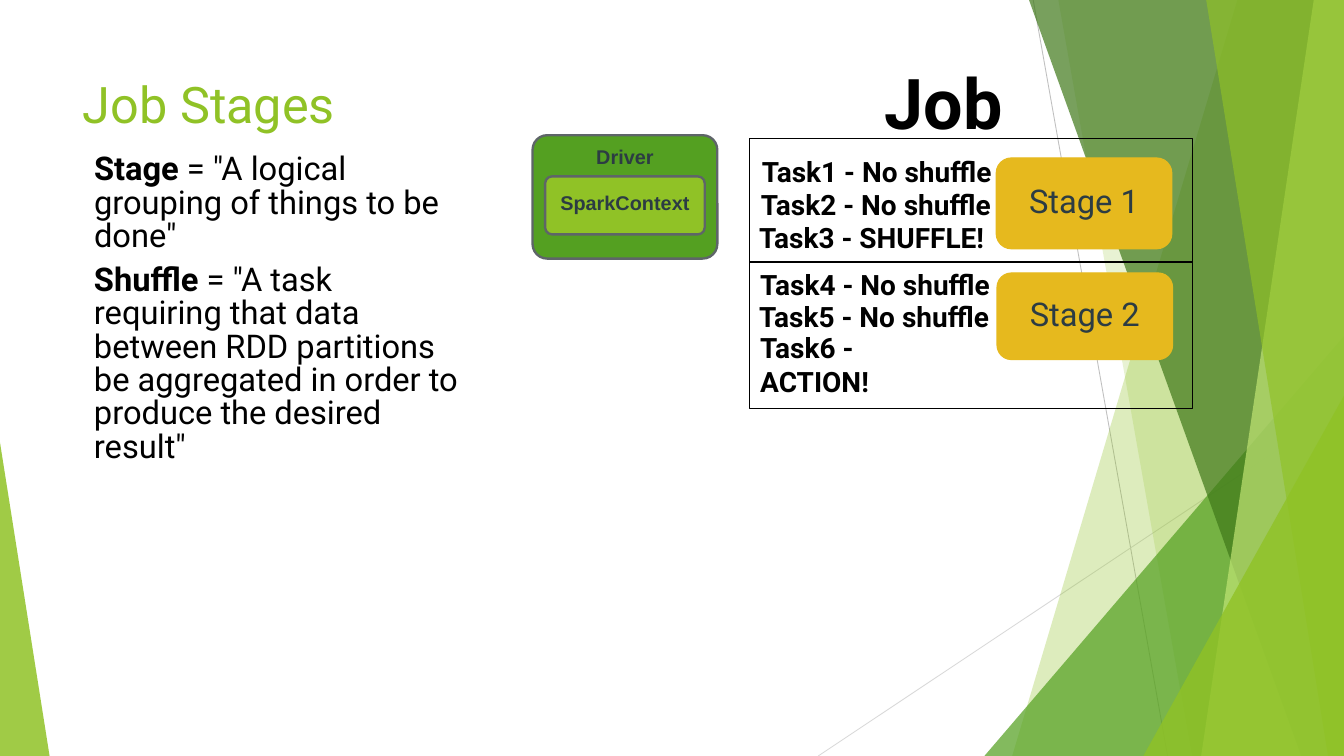
from lxml import etree
from pptx import Presentation
from pptx.dml import color
from pptx.enum import shapes, text
from pptx.oxml import ns
from pptx.util import Pt

WIDTH, HEIGHT = 1152, 648
LIME, GREEN, FOREST, PALE = "90C226", "54A021", "3F7819", "C0E474"
GOLD, SLATE, GREY, BLACK = "E6B91E", "2C3C43", "5E6568", "000000"
RECT = shapes.MSO_SHAPE.RECTANGLE
ROUNDED = shapes.MSO_SHAPE.ROUNDED_RECTANGLE
TRIANGLE = shapes.MSO_SHAPE.ISOSCELES_TRIANGLE
TOP, MIDDLE = text.MSO_ANCHOR.TOP, text.MSO_ANCHOR.MIDDLE
LEFT, CENTER = text.PP_ALIGN.LEFT, text.PP_ALIGN.CENTER

RAYS = [
    ((885.6, 0), (1000.8, HEIGHT), "BFBFBF"),
    ((WIDTH, 347.8), (701.3, HEIGHT), "D9D9D9"),
]
FACETS = [
    ("band", 1060.6, 867.6, LIME, 30),
    ("band", 907.2, 1021.7, LIME, 20),
    ("triangle", (843.8, 288, 308.2, 360), 1, GREEN, 72),
    ("band", 882, 1115.3, FOREST, 70),
    ("band", 1126.1, 1029.6, PALE, 70),
    ("band", 1033.9, 1138.3, LIME, 65),
    ("triangle", (980, 339.1, 172, 308.9), 1, LIME, 80),
    ("triangle", (0, 379.4, 42.5, 268.6), 0, LIME, 85),
]
TITLE = ("Job Stages", (64, 57.6, 812, 124.6))
DEFINITIONS = [
    ("Stage", ' = "A logical grouping of things to be done"', (80.6, 146.2, 329.8, 57.6)),
    ("Shuffle", ' = "A task requiring that data between RDD partitions be aggregated '
     'in order to produce the desired result"', (80.6, 240.5, 319, 144.7)),
]
DRIVER = [
    ("Driver", (456.5, 115.9, 158.4, 105.8), GREEN, TOP),
    ("SparkContext", (467.3, 151.2, 136.8, 49.7), LIME, MIDDLE),
]
JOB = ("Job", (749.5, 46.8, 137.5, 81.4))
JOB_FRAME = (642.2, 118.8, 380.2, 231.1)
STAGE_DIVIDER = 224.6
TASKS = [
    ("Task1 - No shuffle", 644.4, 128.2, 380),
    ("Task2 - No shuffle", 643.7, 156.2, 380),
    ("Task3 - SHUFFLE!", 642.2, 184.3, 437),
    ("Task4 - No shuffle", 643, 225.4, 437),
    ("Task5 - No shuffle", 642.2, 252.7, 437),
    ("Task6 - ACTION!", 643, 279.4, 188.6),
]
STAGES = [
    ("Stage 1", (853.9, 135.4, 150.5, 77.8)),
    ("Stage 2", (854.6, 234, 150.5, 74.2)),
]

deck = Presentation()
deck.slide_width, deck.slide_height = Pt(WIDTH), Pt(HEIGHT)
slide = deck.slides.add_slide(deck.slide_layouts[6])


def rgb(hex_code):
    return color.RGBColor.from_string(hex_code)


def paint(shape, fill=None, outline=None, weight=1, opacity=100):
    shape.shadow.inherit = False
    if fill:
        shape.fill.solid()
        shape.fill.fore_color.rgb = rgb(fill)
        if opacity < 100:
            tint = shape.fill._xPr.find(".//" + ns.qn("a:srgbClr"))
            etree.SubElement(tint, ns.qn("a:alpha"), val=str(opacity * 1000))
    else:
        shape.fill.background()
    if outline:
        shape.line.color.rgb = rgb(outline)
        shape.line.width = Pt(weight)
    else:
        shape.line.fill.background()


def add_preset(kind, box, adjust=None, **look):
    shape = slide.shapes.add_shape(kind, *map(Pt, box))
    if adjust is not None:
        shape.adjustments[0] = adjust
    paint(shape, **look)
    return shape


def add_rule(start, end, tone, weight):
    rule = slide.shapes.add_connector(
        shapes.MSO_CONNECTOR.STRAIGHT, *map(Pt, (*start, *end)))
    rule.line.color.rgb = rgb(tone)
    rule.line.width = Pt(weight)
    etree.SubElement(rule._element.spPr, ns.qn("a:effectLst"))


def write(shape, runs, size, tone, font="Roboto", bold=False, insets=(8.6, 4.3, 8.6, 4.3),
          anchor=TOP, align=LEFT, spacing=None):
    frame = shape.text_frame
    frame.word_wrap = True
    frame.vertical_anchor = anchor
    (frame.margin_left, frame.margin_top,
     frame.margin_right, frame.margin_bottom) = map(Pt, insets)
    line = frame.paragraphs[0]
    line.alignment = align
    if spacing:
        line.line_spacing = spacing
    line.font.name, line.font.size, line.font.bold = font, Pt(size), bold
    line.font.color.rgb = rgb(tone)
    for words, strong in runs:
        run = line.add_run()
        run.text = words
        if strong != bold:
            run.font.bold = strong


def add_text(box, runs, size, tone, **style):
    write(slide.shapes.add_textbox(*map(Pt, box)), runs, size, tone, **style)


for start, end, tone in RAYS:
    add_rule(start, end, tone, 0.75)

for kind, place, lean, tone, opacity in FACETS:
    if kind == "triangle":
        add_preset(TRIANGLE, place, lean, fill=tone, opacity=opacity)
    else:
        outline = slide.shapes.build_freeform(Pt(place), 0)
        corners = [(WIDTH, 0), (WIDTH, HEIGHT), (lean, HEIGHT)]
        outline.add_line_segments([(Pt(x), Pt(y)) for x, y in corners])
        paint(outline.convert_to_shape(), tone, opacity=opacity)

name, box = TITLE
add_text(box, [(name, False)], 43.2, LIME, insets=(7.2, 5, 7.2, 5))

for name, box, tone, anchor in DRIVER:
    part = add_preset(ROUNDED, box, 0.119, fill=tone, outline=GREY, weight=2)
    write(part, [(name, True)], 17, SLATE, font="Arial", bold=True,
          insets=(8.6, 4.3, 8.6, 8.6), anchor=anchor, align=CENTER)

add_preset(RECT, JOB_FRAME, outline=BLACK)
name, box = JOB
add_text(box, [(name, True)], 60, BLACK, bold=True)

for term, meaning, box in DEFINITIONS:
    add_text(box, [(term, True), (meaning, False)], 28, BLACK,
             insets=(0, 0, 0, 0), anchor=MIDDLE, spacing=0.85)

for task, left, top, width in TASKS:
    add_text((left, top, width, 38.2), [(task, True)], 24, BLACK, bold=True)

frame_left, _, frame_width, _ = JOB_FRAME
add_rule((frame_left, STAGE_DIVIDER), (frame_left + frame_width, STAGE_DIVIDER), BLACK, 2.25)

for name, box in STAGES:
    stage = add_preset(ROUNDED, box, fill=GOLD, outline=GOLD)
    write(stage, [(name, False)], 28, SLATE, insets=(14.4,) * 4,
          anchor=MIDDLE, align=CENTER, spacing=0.85)

deck.save("out.pptx")
